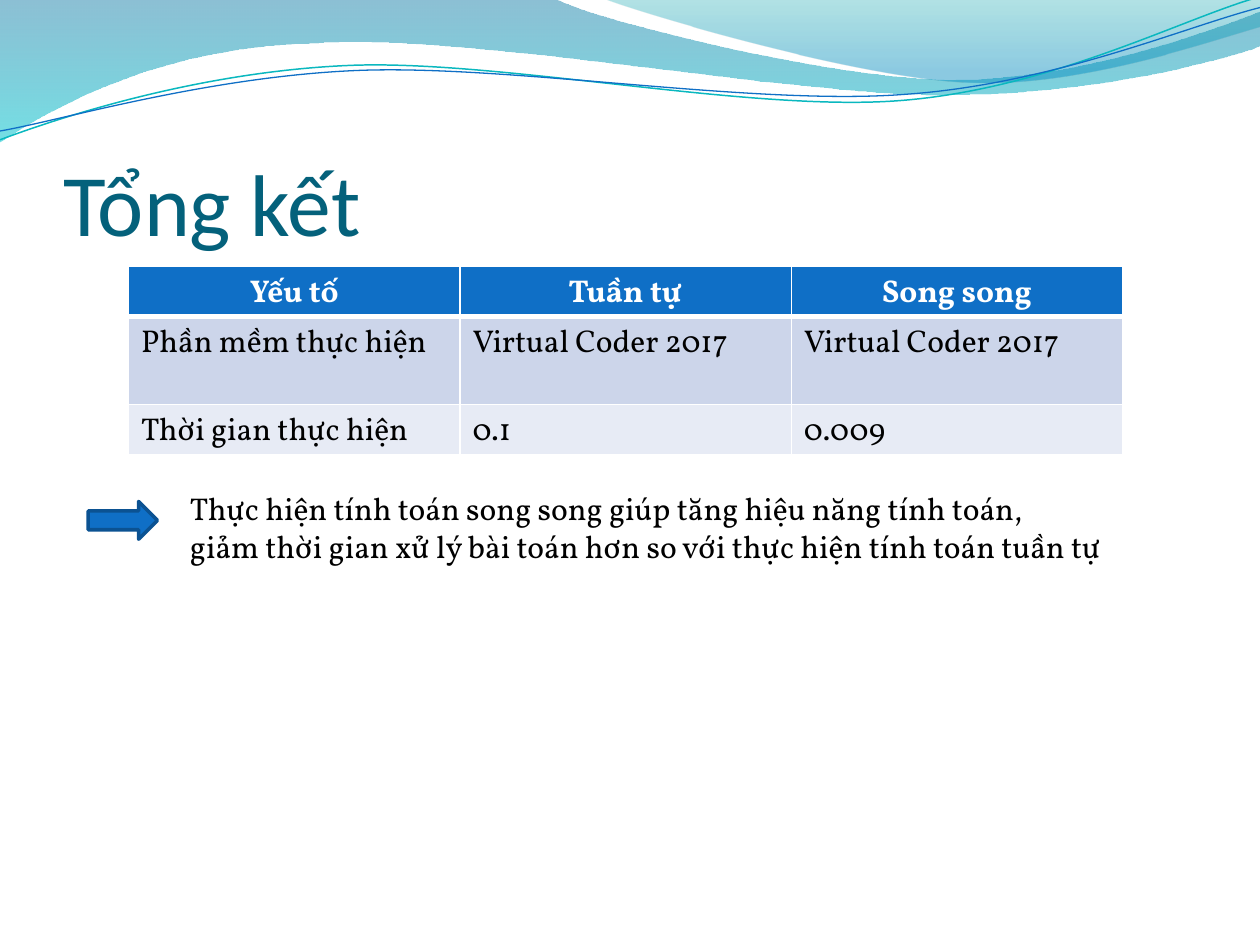
from dataclasses import dataclass

from lxml import etree
from pptx import Presentation
from pptx.dml.color import RGBColor
from pptx.enum.shapes import MSO_SHAPE
from pptx.enum.text import MSO_ANCHOR, MSO_AUTO_SIZE, PP_ALIGN
from pptx.oxml.ns import qn
from pptx.shapes.autoshape import Shape
from pptx.slide import Slide
from pptx.table import _Cell
from pptx.util import Inches, Pt

ARROW = MSO_SHAPE.RIGHT_ARROW
BOTTOM = MSO_ANCHOR.BOTTOM
NO_AUTOFIT, GROW = MSO_AUTO_SIZE.NONE, MSO_AUTO_SIZE.SHAPE_TO_FIT_TEXT
LEFT, CENTER = PP_ALIGN.LEFT, PP_ALIGN.CENTER

WHITE = RGBColor(0xFF, 0xFF, 0xFF)
BLACK = RGBColor(0, 0, 0)
TITLE_TEAL = RGBColor(0x04, 0x61, 0x7B)
BLUE = RGBColor(0x0F, 0x6F, 0xC6)
DARK_BLUE = RGBColor(0x0B, 0x52, 0x92)
LINE_TEAL = RGBColor(0x0A, 0xB8, 0xBF)
WAVE_BLUE = RGBColor(0x00, 0x74, 0xA1)
WAVE_CYAN = RGBColor(0x00, 0xC6, 0xCF)
CREST_TEAL = RGBColor(0x00, 0xA1, 0xA9)
CREST_BLUE = RGBColor(0x00, 0x8B, 0xBF)
BAND_DARK = RGBColor(0xCC, 0xD5, 0xEA)
BAND_LIGHT = RGBColor(0xE7, 0xEB, 0xF5)

HEADING_FONT, BODY_FONT = "Calibri", "Vollkorn"
BODY_SIZE = Pt(18)

Point = tuple[float, float]


@dataclass(frozen=True)
class Stop:
    """A gradient stop: share of the way, colour and opacity in percent."""
    position: float
    color: RGBColor
    opacity: int


@dataclass(frozen=True)
class Wave:
    """An outline in inches; a segment has one point (line) or three (curve)."""
    start: Point
    segments: list[tuple[Point, ...]]
    stops: tuple[Stop, ...] = ()
    line_color: RGBColor | None = None
    line_width: float = 0


WAVES = [
    Wave((0, 0), [
        ((4.4, -0.01),),
        ((4.76, 0.17), (6.64, 0.63), (7.58, 0.63)),
        ((8.53, 0.63), (9.58, 0.26), (10, 0.09)),
        ((10.01, 0.36),),
        ((9.83, 0.44), (8.7, 0.76), (7.46, 0.75)),
        ((6.22, 0.75), (3.82, 0.28), (2.57, 0.34)),
        ((1.29, 0.36), (0.46, 0.83), (-0.01, 1.13)),
        ((0, 0),)],
        stops=(Stop(0, WAVE_BLUE, 45), Stop(1, WAVE_CYAN, 55))),
    Wave((4.79, -0.01), [
        ((5.09, 0.11), (6.82, 0.62), (7.69, 0.65)),
        ((8.56, 0.69), (9.61, 0.32), (10, 0.21)),
        ((10, 0),),
        ((4.79, -0.01),)],
        stops=(Stop(0, CREST_TEAL, 30), Stop(0.8, CREST_BLUE, 45))),
    Wave((0, 1.11), [
        ((0.48, 0.93), (1.58, 0.57), (2.77, 0.52)),
        ((3.95, 0.47), (5.93, 0.89), (7.13, 0.8)),
        ((8.33, 0.71), (9.38, 0.15), (9.98, -0.02))],
        line_color=LINE_TEAL, line_width=0.85),
    Wave((0, 1.04), [
        ((0.47, 0.96), (1.64, 0.61), (2.83, 0.56)),
        ((4.03, 0.51), (5.97, 0.84), (7.17, 0.75)),
        ((8.36, 0.67), (9.41, 0.21), (10, 0.06))],
        line_color=BLUE, line_width=0.75),
]

ROWS = [
    ("Yếu tố", "Tuần tự", "Song song"),
    ("Phần mềm thực hiện", "Virtual Coder 2017", "Virtual Coder 2017"),
    ("Thời gian thực hiện", "0.1", "0.009"),
]
ROW_FILLS = (BLUE, BAND_DARK, BAND_LIGHT)
ROW_HEIGHTS = (0.4, 0.7, 0.4)
COLUMN_WIDTH = 2.63
CONCLUSION = [
    "Thực hiện tính toán song song giúp tăng hiệu năng tính toán,",
    "giảm thời gian xử lý bài toán hơn so với thực hiện tính toán tuần tự",
]


def bend_curves(shape: Shape, segments: list[tuple[Point, ...]]) -> None:
    """Join the three straight steps of each curved segment into one Bezier."""
    steps = iter(list(shape._element.spPr.iter(qn("a:lnTo"))))
    for segment in segments:
        lines = [next(steps) for _ in segment]
        if len(lines) == 1:
            continue
        curve = etree.Element(qn("a:cubicBezTo"))
        lines[0].addprevious(curve)
        for line in lines:
            curve.append(line[0])
            line.getparent().remove(line)


def fill_gradient(shape: Shape, stops: tuple[Stop, ...]) -> None:
    """Fill from top to bottom with translucent stops."""
    shape.fill.gradient()
    shape.fill.gradient_angle = 270
    for target, stop in zip(shape.fill.gradient_stops, stops):
        target.position = stop.position
        target.color.rgb = stop.color
    for color, stop in zip(shape._element.spPr.iter(qn("a:srgbClr")), stops):
        etree.SubElement(color, qn("a:alpha"), val=str(stop.opacity * 1000))


def add_wave(slide: Slide, wave: Wave) -> None:
    """Draw a filled wave or an open wavy line."""
    builder = slide.shapes.build_freeform(*map(Inches, wave.start))
    points = [(Inches(x), Inches(y)) for segment in wave.segments for x, y in segment]
    builder.add_line_segments(points, close=bool(wave.stops))
    shape = builder.convert_to_shape()
    bend_curves(shape, wave.segments)
    shape.shadow.inherit = False
    if wave.stops:
        fill_gradient(shape, wave.stops)
        shape.line.fill.background()
    else:
        shape.fill.background()
        shape.line.color.rgb = wave.line_color
        shape.line.width = Pt(wave.line_width)


def set_borders(cell: _Cell, bottom_width: float) -> None:
    """Give a cell white borders."""
    properties = cell._tc.get_or_add_tcPr()
    widths = {"a:lnL": 1, "a:lnR": 1, "a:lnT": 1, "a:lnB": bottom_width}
    for index, (side, width) in enumerate(widths.items()):
        border = etree.Element(qn(side), w=str(Pt(width)))
        solid = etree.SubElement(border, qn("a:solidFill"))
        etree.SubElement(solid, qn("a:srgbClr"), val=str(WHITE))
        properties.insert(index, border)


def add_comparison(slide: Slide) -> None:
    """Add the table comparing sequential and parallel runs."""
    columns = len(ROWS[0])
    table = slide.shapes.add_table(
        len(ROWS), columns, Inches(1.02), Inches(2.11),
        Inches(COLUMN_WIDTH * columns), Inches(sum(ROW_HEIGHTS))).table
    for r, (texts, fill, height) in enumerate(zip(ROWS, ROW_FILLS, ROW_HEIGHTS)):
        table.rows[r].height = Inches(height)
        header = r == 0
        for c, text in enumerate(texts):
            cell = table.cell(r, c)
            cell.text = text
            cell.fill.solid()
            cell.fill.fore_color.rgb = fill
            set_borders(cell, 3 if header else 1)
            paragraph = cell.text_frame.paragraphs[0]
            paragraph.alignment = CENTER if header else LEFT
            font = paragraph.font
            font.name, font.size, font.bold = BODY_FONT, BODY_SIZE, header
            font.color.rgb = WHITE if header else BLACK


def add_conclusion(slide: Slide) -> None:
    """Add the arrow and the concluding lines beside it."""
    arrow = slide.shapes.add_shape(ARROW, Inches(0.7), Inches(3.98), Inches(0.55), Inches(0.3))
    arrow.shadow.inherit = False
    arrow.fill.solid()
    arrow.fill.fore_color.rgb = BLUE
    arrow.line.color.rgb = DARK_BLUE
    arrow.line.width = Pt(2)
    frame = slide.shapes.add_textbox(
        Inches(1.41), Inches(3.83), Inches(7.56), Inches(0.71)).text_frame
    frame.word_wrap = False
    frame.auto_size = GROW
    frame.text = "\n".join(CONCLUSION)
    for paragraph in frame.paragraphs:
        paragraph.font.name, paragraph.font.size = BODY_FONT, BODY_SIZE
        paragraph.font.color.rgb = BLACK


def set_title(slide: Slide, text: str) -> None:
    """Place and format the title in front of the waves."""
    title = slide.shapes.title
    title.left, title.top, title.width, title.height = map(Inches, (0.5, 0.77, 9, 1.25))
    frame = title.text_frame
    frame.text = text
    frame.auto_size, frame.vertical_anchor = NO_AUTOFIT, BOTTOM
    frame.margin_left = frame.margin_right = frame.margin_bottom = 0
    paragraph = frame.paragraphs[0]
    paragraph.alignment = LEFT
    paragraph.font.name, paragraph.font.size = HEADING_FONT, Pt(50)
    paragraph.font.color.rgb = TITLE_TEAL
    slide.shapes._spTree.append(title._element)


presentation = Presentation()
presentation.slide_width, presentation.slide_height = Inches(10), Inches(7.5)
summary = presentation.slides.add_slide(presentation.slide_layouts[5])
for wave in WAVES:
    add_wave(summary, wave)
set_title(summary, "Tổng kết")
add_conclusion(summary)
add_comparison(summary)
presentation.save("out.pptx")
